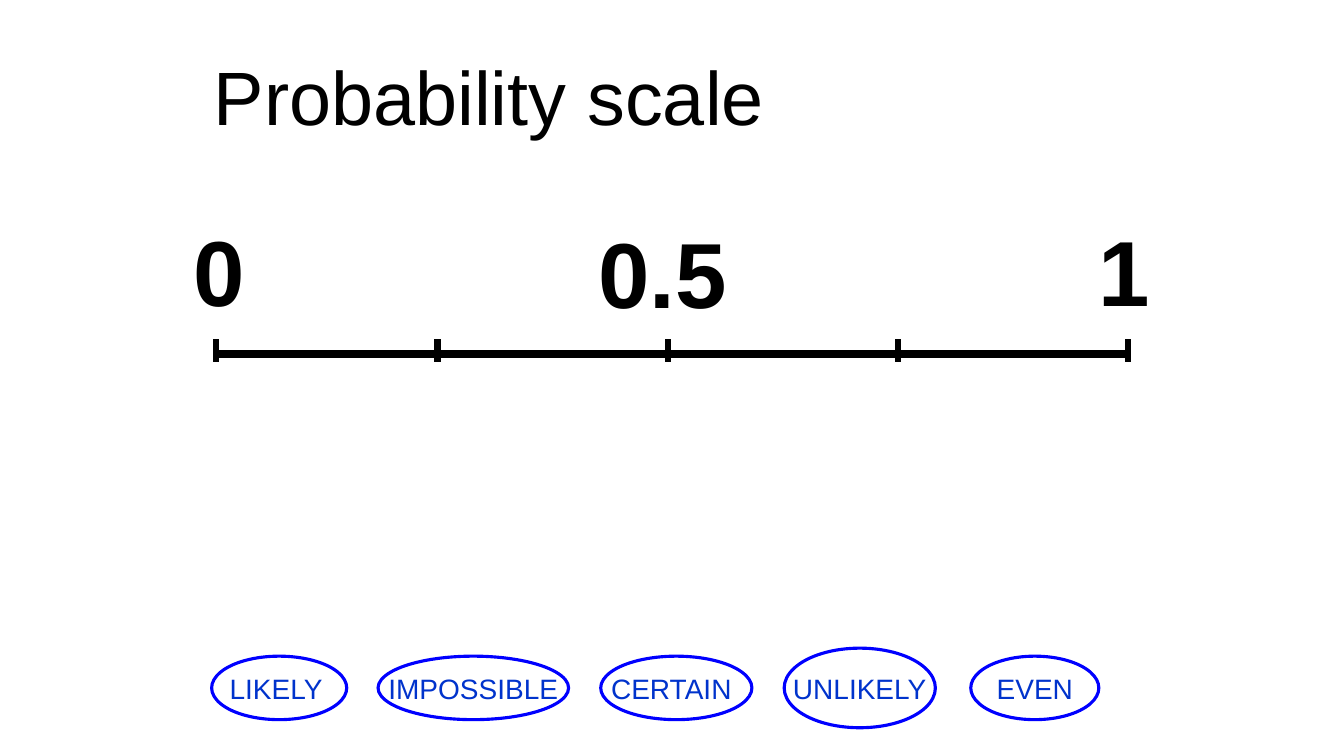
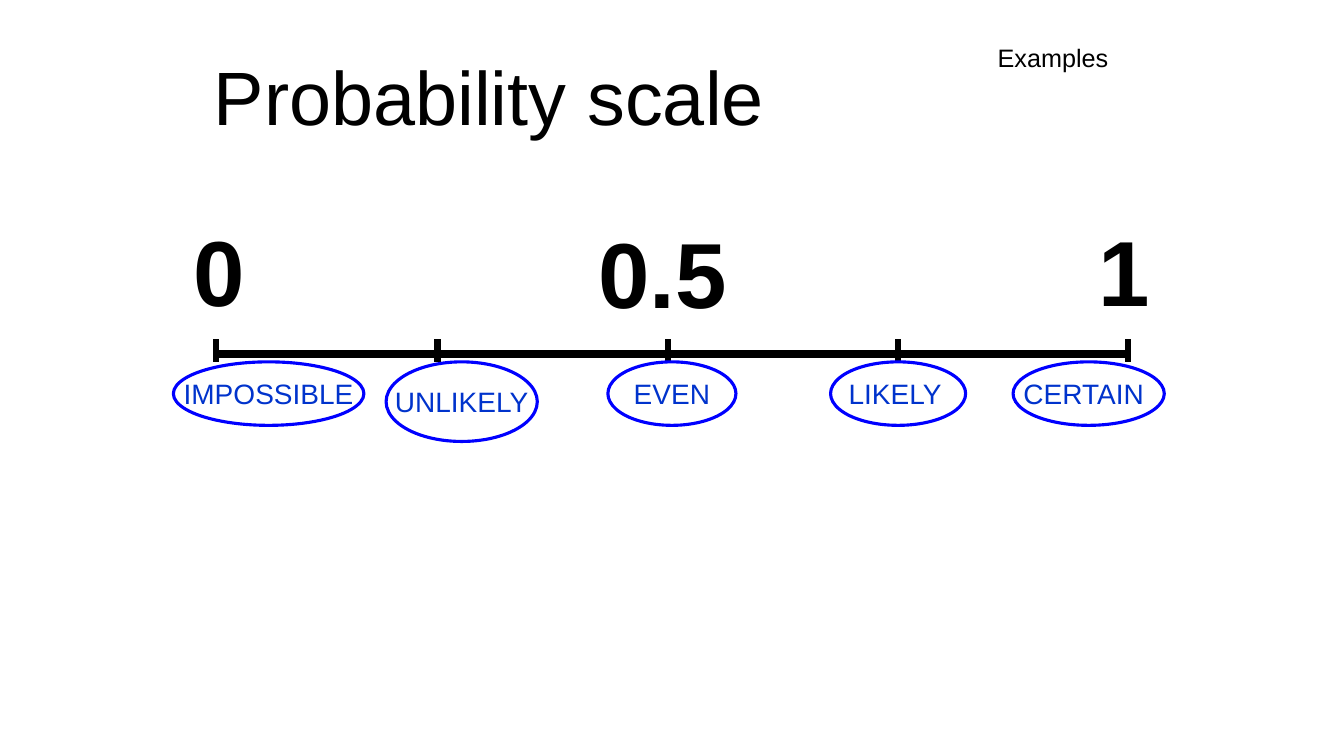
from typing import NamedTuple

from lxml import etree
from pptx import Presentation
from pptx.dml.color import RGBColor
from pptx.enum.shapes import MSO_CONNECTOR, MSO_SHAPE
from pptx.enum.text import MSO_ANCHOR, MSO_AUTO_SIZE, PP_ALIGN
from pptx.oxml.ns import qn
from pptx.util import Emu, Inches, Pt

STRAIGHT, OVAL = MSO_CONNECTOR.STRAIGHT, MSO_SHAPE.OVAL
TOP, MIDDLE = MSO_ANCHOR.TOP, MSO_ANCHOR.MIDDLE
LEFT, CENTER = PP_ALIGN.LEFT, PP_ALIGN.CENTER
NO_AUTOFIT = MSO_AUTO_SIZE.NONE

SLIDE_W, SLIDE_H = Inches(40 / 3), Inches(7.5)
COLORS = {"ink": "000000", "word": "0033CC", "outline": "0000FF"}
FONT = "Arial"
TITLE_ONLY = 5


class Box(NamedTuple):
    """Left, top, width and height in percent of the slide."""
    left: float
    top: float
    width: float
    height: float


class Label(NamedTuple):
    text: str
    box: Box


class Word(NamedTuple):
    width: float
    height: float
    right_inset: float  # inches; shifts the word left of the middle


# The scale, in percent of the slide
TICKS = [16.05, 32.55, 49.73, 66.83, 83.93]
AXIS_Y, TICK_TOP, TICK_BOTTOM = 46.8, 44.8, 47.87
NUMBERS = [
    Label("0", Box(13.65, 27.73, 6.45, 16)),
    Label("0.5", Box(43.8, 28, 11.25, 16)),
    Label("1", Box(81, 27.73, 6.45, 16)),
]
TITLE = Label("Probability scale", Box(15.15, 5.87, 69.68, 13.33))
EXAMPLES = Label("Examples", Box(73.5, 4.93, 17.18, 5.33))

# The circled words: sizes, then left edges on each slide
WORDS = {
    "LIKELY": Word(10.05, 8.4, 0.06),
    "IMPOSSIBLE": Word(14.18, 8.4, 0),
    "CERTAIN": Word(11.25, 8.4, 0.1),
    "UNLIKELY": Word(11.25, 10.53, 0),
    "EVEN": Word(9.53, 8.4, 0),
}
UNSORTED = {"LIKELY": 15.75, "IMPOSSIBLE": 28.13, "CERTAIN": 44.7,
            "UNLIKELY": 58.35, "EVEN": 72.23}
SORTED = {"IMPOSSIBLE": 12.9, "UNLIKELY": 28.73, "EVEN": 45.23,
          "LIKELY": 61.8, "CERTAIN": 75.38}
UNSORTED_MIDDLE = 91


def across(percent: float) -> Emu:
    return Emu(round(SLIDE_W * percent / 100))


def down(percent: float) -> Emu:
    return Emu(round(SLIDE_H * percent / 100))


def place(box: Box) -> tuple[Emu, Emu, Emu, Emu]:
    return across(box.left), down(box.top), across(box.width), down(box.height)


def write(shape, text: str, size: float, color: str = "ink", bold: bool = False,
          align=LEFT, anchor=TOP, wrap: bool = True) -> None:
    frame = shape.text_frame
    frame.text = text
    frame.auto_size = NO_AUTOFIT
    frame.word_wrap = wrap
    frame.vertical_anchor = anchor
    paragraph = frame.paragraphs[0]
    paragraph.alignment = align
    font = paragraph.runs[0].font
    font.name, font.size, font.bold = FONT, Pt(size), bold
    font.color.rgb = RGBColor.from_string(COLORS[color])


def add_label(slide, label: Label, size: float, bold: bool = False) -> None:
    write(slide.shapes.add_textbox(*place(label.box)), label.text, size, bold=bold)


def add_line(slide, x1: float, y1: float, x2: float, y2: float, weight: float) -> None:
    line = slide.shapes.add_connector(STRAIGHT, across(x1), down(y1), across(x2), down(y2))
    line.line.color.rgb = RGBColor.from_string(COLORS["ink"])
    line.line.width = Pt(weight)
    etree.SubElement(line._element.spPr, qn("a:effectLst"))


def add_word(slide, text: str, left: float, top: float) -> None:
    word = WORDS[text]
    oval = slide.shapes.add_shape(OVAL, *place(Box(left, top, word.width, word.height)))
    oval.shadow.inherit = False
    oval.fill.background()
    oval.line.color.rgb = RGBColor.from_string(COLORS["outline"])
    oval.line.width = Pt(2.25)
    write(oval, text, 20, "word", align=CENTER, anchor=MIDDLE, wrap=False)
    frame = oval.text_frame
    frame.margin_left = frame.margin_top = frame.margin_bottom = 0
    frame.margin_right = Inches(word.right_inset)


def add_scale_slide(prs):
    slide = prs.slides.add_slide(prs.slide_layouts[TITLE_ONLY])

    # Title
    title = slide.shapes.title
    title.left, title.top, title.width, title.height = place(TITLE.box)
    write(title, TITLE.text, 54)

    # Axis, ticks and numbers
    add_line(slide, TICKS[0], AXIS_Y, TICKS[-1], AXIS_Y, 6)
    for tick in TICKS:
        add_line(slide, tick, TICK_BOTTOM, tick, TICK_TOP, 4.5)
    for number in NUMBERS:
        add_label(slide, number, 66, bold=True)
    return slide


def main() -> None:
    prs = Presentation()
    prs.slide_width, prs.slide_height = SLIDE_W, SLIDE_H

    # Words waiting below the scale, centred on one row
    question = add_scale_slide(prs)
    for text, left in UNSORTED.items():
        add_word(question, text, left, UNSORTED_MIDDLE - WORDS[text].height / 2)

    # Words hung from the ticks
    answer = add_scale_slide(prs)
    for text, left in SORTED.items():
        add_word(answer, text, left, TICK_BOTTOM)
    add_label(answer, EXAMPLES, 18)

    prs.save("out.pptx")


if __name__ == "__main__":
    main()
